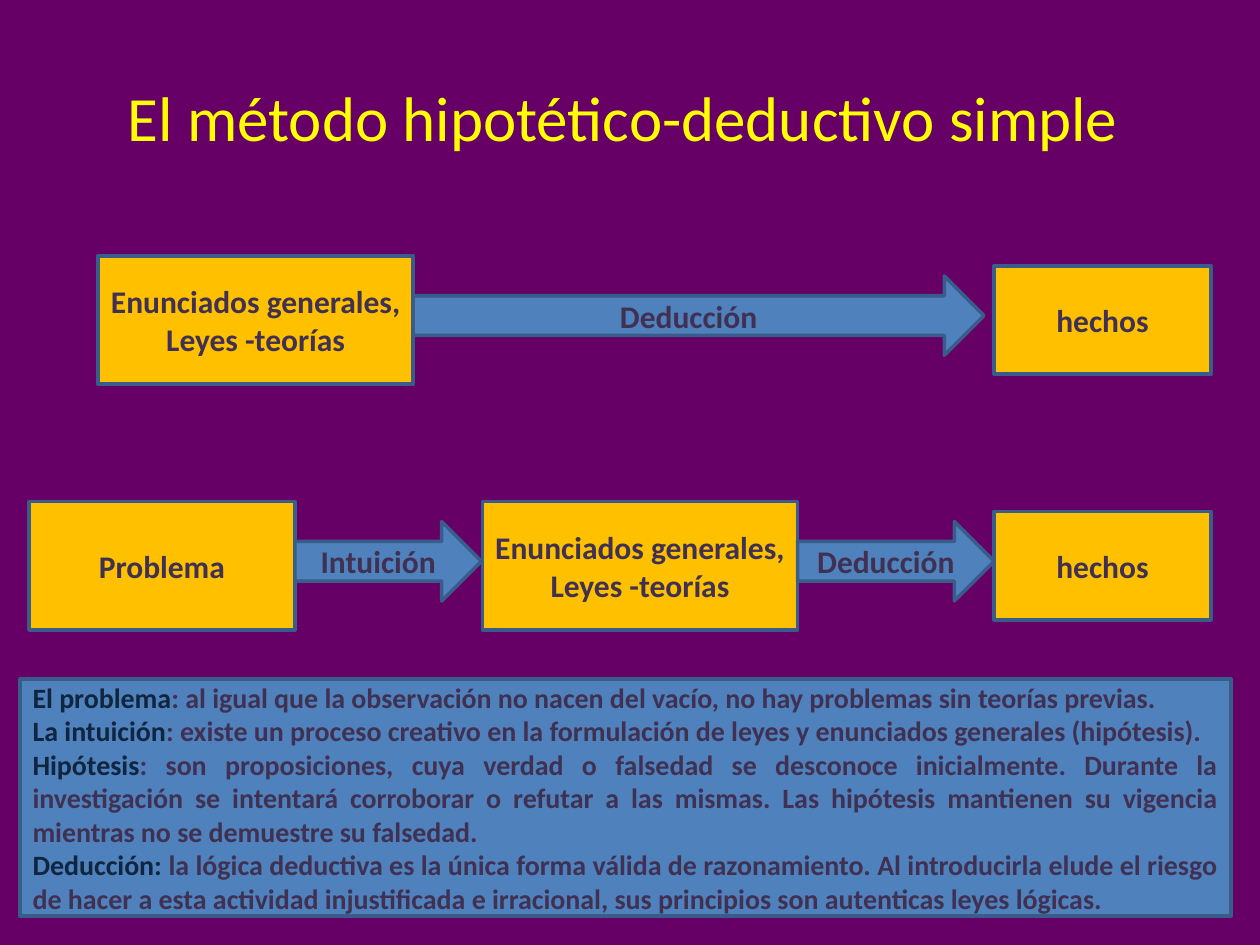
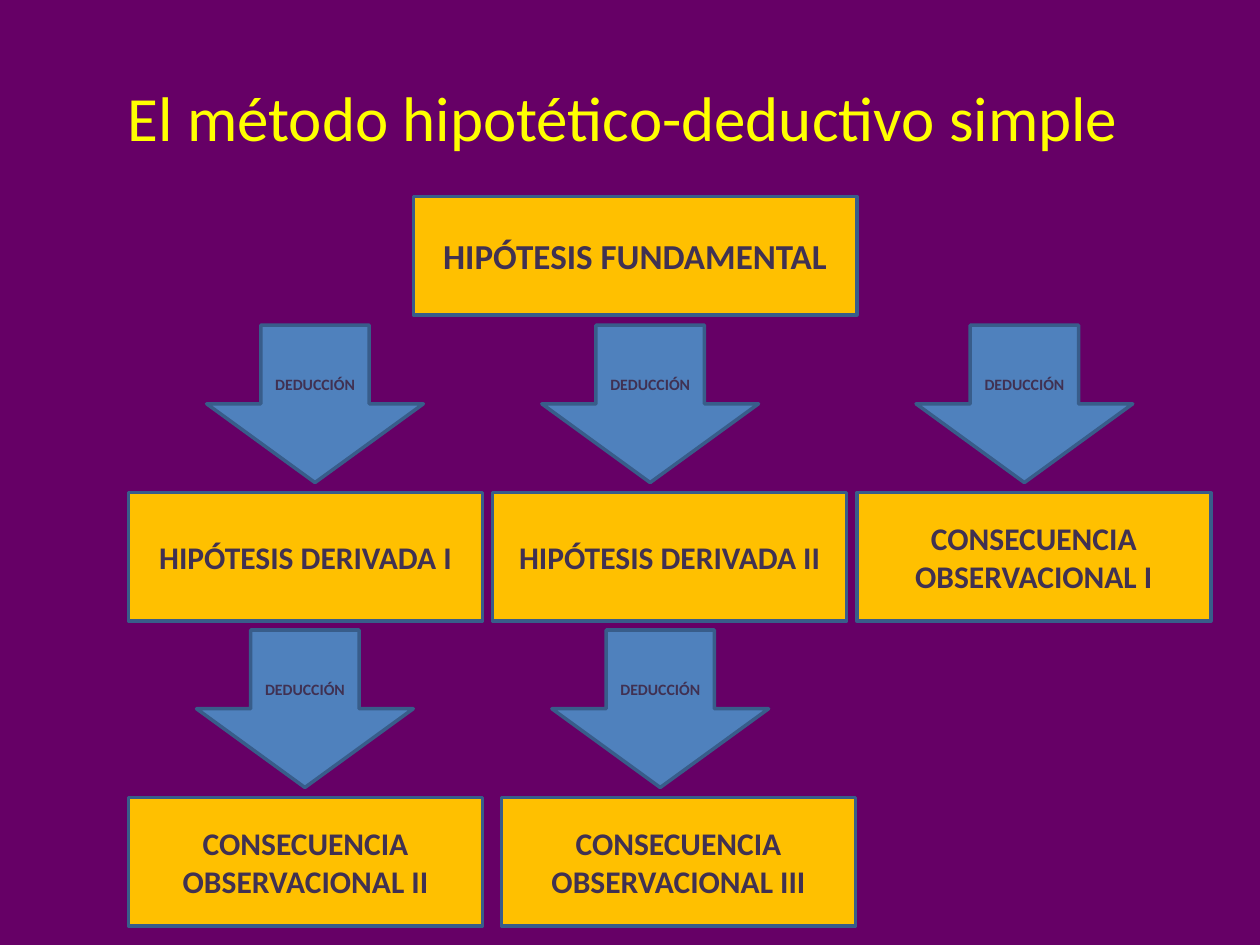
"""Build two slides that explain the simple hypothetico-deductive method."""
from pptx import Presentation
from pptx.dml.color import RGBColor
from pptx.enum.shapes import MSO_SHAPE as Shape
from pptx.enum.text import MSO_ANCHOR as Anchor, PP_ALIGN as Align
from pptx.util import Inches, Pt

COLOURS = {
    "background": "660066",
    "title": "FFFF00",
    "box": "FFC000",
    "arrow": "4F81BD",
    "outline": "385D8A",
    "text": "403152",
    "term": "10253F",
}
FONT = "Calibri"
TITLE = "El método hipotético-deductivo simple "
LAWS = "Enunciados generales,\nLeyes -teorías"
DEFINITIONS = [
    ("El problema", ": al igual que la observación no nacen del vacío, "
     "no hay problemas sin teorías previas."),
    ("La intuición", ": existe un proceso creativo en la formulación de leyes "
     "y enunciados generales (hipótesis)."),
    ("Hipótesis", ": son proposiciones, cuya verdad o falsedad se desconoce "
     "inicialmente. Durante la investigación se intentará corroborar o refutar "
     "a las mismas. Las hipótesis mantienen su vigencia mientras no se "
     "demuestre su falsedad."),
    ("Deducción: ", "la lógica deductiva es la única forma válida de "
     "razonamiento. Al introducirla elude el riesgo de hacer a esta actividad "
     "injustificada e irracional, sus principios son autenticas leyes lógicas."),
]


class Deck:
    """Hold the shared style and the current slide."""

    def __init__(self):
        self.presentation = Presentation()
        self.presentation.slide_width = Inches(10)
        self.presentation.slide_height = Inches(7.5)
        self.slide = None

    def colour(self, name):
        return RGBColor.from_string(COLOURS[name])

    def format_run(self, run, size, colour="text", bold=True):
        run.font.name = FONT
        run.font.size = Pt(size)
        run.font.bold = bold
        run.font.color.rgb = self.colour(colour)

    def set_text(self, shape, text, size, colour="text", bold=True, align=Align.CENTER):
        text_frame = shape.text_frame
        text_frame.word_wrap = True
        text_frame.vertical_anchor = Anchor.MIDDLE
        text_frame.text = text
        for paragraph in text_frame.paragraphs:
            paragraph.alignment = align
            for run in paragraph.runs:
                self.format_run(run, size, colour, bold)

    def add_slide(self, title):
        self.slide = self.presentation.slides.add_slide(
            self.presentation.slide_layouts[6])
        fill = self.slide.background.fill
        fill.solid()
        fill.fore_color.rgb = self.colour("background")
        title_box = self.slide.shapes.add_textbox(
            Inches(0.5), Inches(0.3), Inches(9), Inches(1.25))
        self.set_text(title_box, title, 36, "title", False)

    def add_shape(self, kind, fill, left, top, width, height):
        shape = self.slide.shapes.add_shape(
            kind, Inches(left), Inches(top), Inches(width), Inches(height))
        shape.shadow.inherit = False
        shape.fill.solid()
        shape.fill.fore_color.rgb = self.colour(fill)
        shape.line.color.rgb = self.colour("outline")
        shape.line.width = Pt(2)
        return shape

    def add_box(self, text, left, top, width, height=1.02, size=18):
        shape = self.add_shape(Shape.RECTANGLE, "box", left, top, width, height)
        self.set_text(shape, text, size)

    def add_right_arrow(self, text, left, top, width):
        shape = self.add_shape(Shape.RIGHT_ARROW, "arrow", left, top, width, 0.63)
        self.set_text(shape, text, 18)

    def add_down_arrow(self, text, left, top):
        shape = self.add_shape(Shape.DOWN_ARROW, "arrow", left, top, 1.72, 1.25)
        self.set_text(shape, text, 9)

    def add_definitions(self, definitions, left, top, width, height):
        shape = self.add_shape(Shape.RECTANGLE, "arrow", left, top, width, height)
        terms = "\n".join(term for term, _ in definitions)
        self.set_text(shape, terms, 16, "term", align=Align.JUSTIFY)
        for paragraph, (_, meaning) in zip(shape.text_frame.paragraphs, definitions):
            run = paragraph.add_run()
            run.text = meaning
            self.format_run(run, 16)


def build_method(deck):
    """Draw the two chains of reasoning and the definitions."""
    deck.add_slide(TITLE)
    first_row, second_row = 2.03, 3.98
    deck.add_box(LAWS, 0.78, first_row, 2.5)
    deck.add_right_arrow("Deducción", 3.28, first_row + 0.16, 4.53)
    deck.add_box("Problema", 0.23, second_row, 2.11)
    deck.add_right_arrow("Intuición", 2.34, second_row + 0.16, 1.48)
    deck.add_box(LAWS, 3.83, second_row, 2.5)
    for row in (first_row, second_row):
        deck.add_box("hechos", 7.89, row + 0.08, 1.72, 0.86)
    deck.add_right_arrow("Deducción", 6.33, second_row + 0.16, 1.56)
    deck.add_definitions(DEFINITIONS, 0.16, 5.39, 9.61, 1.88)


def build_hierarchy(deck):
    """Draw the tree from the hypothesis down to its consequences."""
    deck.add_slide(TITLE)
    deck.add_box("HIPÓTESIS FUNDAMENTAL", 3.28, 1.56, 3.52, 0.94, 20)
    levels = [
        (2.58, (1.64, 4.3, 7.27), (1.02, 3.91, 6.8),
         ("HIPÓTESIS DERIVADA I", "HIPÓTESIS DERIVADA II",
          "CONSECUENCIA OBSERVACIONAL I")),
        (5, (1.56, 4.38), (1.02, 3.98),
         ("CONSECUENCIA OBSERVACIONAL II", "CONSECUENCIA OBSERVACIONAL III")),
    ]
    for top, arrow_lefts, box_lefts, labels in levels:
        for arrow_left, box_left, label in zip(arrow_lefts, box_lefts, labels):
            deck.add_down_arrow("DEDUCCIÓN", arrow_left, top)
            deck.add_box(label, box_left, top + 1.33, 2.81)


def main():
    """Build both slides and save them."""
    deck = Deck()
    build_method(deck)
    build_hierarchy(deck)
    deck.presentation.save("out.pptx")


if __name__ == "__main__":
    main()
